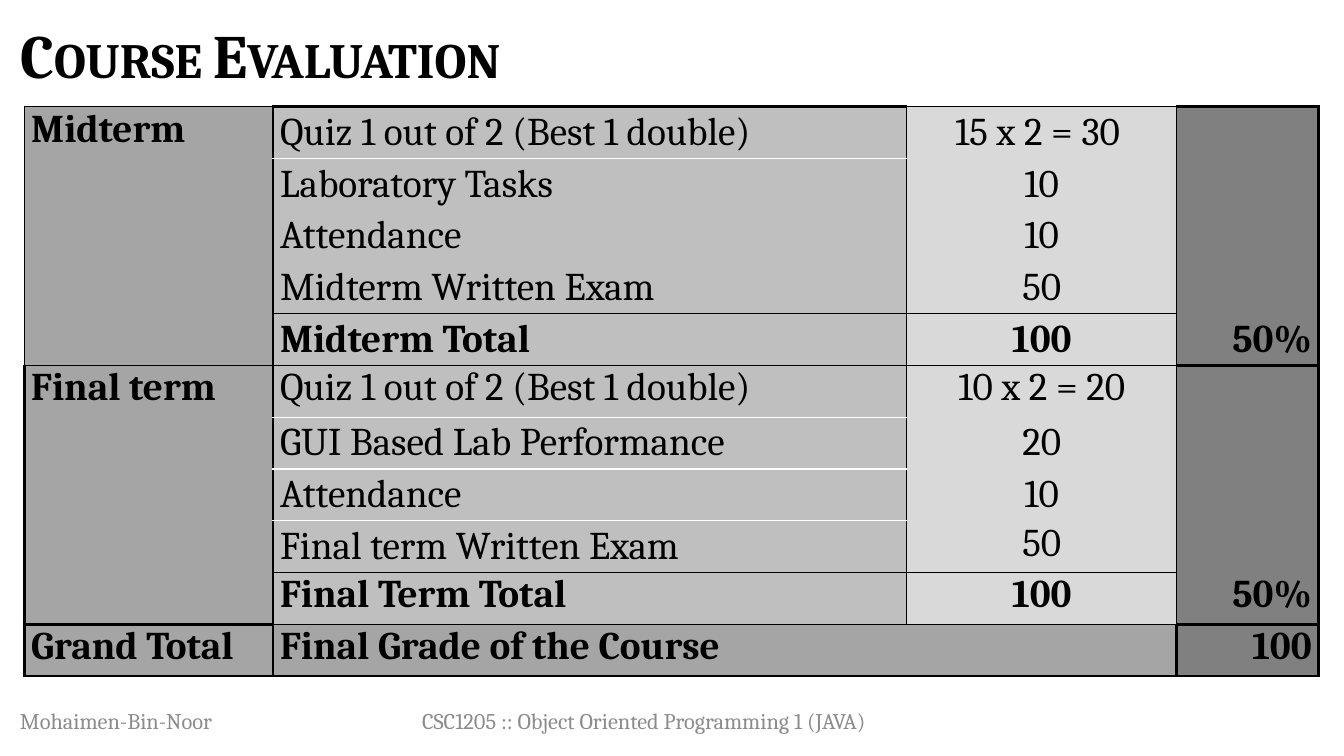
from dataclasses import dataclass
from lxml.etree import SubElement as Sub
from pptx import Presentation
from pptx.dml.color import RGBColor as Rgb
from pptx.enum.text import MSO_ANCHOR as Anchor, PP_ALIGN as Align
from pptx.oxml.ns import qn
from pptx.util import Inches, Pt


@dataclass(frozen=True)
class Theme:
    font: str = "Cambria"
    ink: str = "000000"
    pale: str = "FFFFFF"
    mute: str = "8C8C8C"
    term: str = "A5A5A5"
    task: str = "BFBFBF"
    mark: str = "D9D9D9"
    share: str = "808080"
    head: int = 44
    body: int = 28
    foot: int = 16


LOOK = Theme()
WIDE, HIGH = 13.33, 7.5
COLS = (2.47, 6.29, 2.68, 1.41)
FILLS = (LOOK.term, LOOK.task, LOOK.mark, LOOK.share)
ALIGNS = (Align.LEFT, Align.LEFT, Align.CENTER, Align.RIGHT)
ROWS = (
    ("Midterm", "Quiz 1 out of 2 (Best 1 double)", "15 x 2 = 30 ", ""),
    ("", "Laboratory Tasks", "10", ""),
    ("", "Attendance", "10", ""),
    ("", "Midterm Written Exam", "50", ""),
    ("", "Midterm Total", "100", "50%"),
    ("Final term", "Quiz 1 out of 2 (Best 1 double)", "10 x 2 = 20", ""),
    ("", "GUI Based Lab Performance", "20", ""),
    ("", "Attendance", "10", ""),
    ("", "Final term Written Exam", "50", ""),
    ("", "Final Term Total", "100", "50%"),
    ("Grand Total", "Final Grade of the Course", "", "100"),
)
LAST = len(ROWS) - 1
TOTALS = (4, 9, LAST)
HIGHS = {(5, 1), (5, 2), (8, 2)}
PENS = {"t": (1, LOOK.ink), "b": (2.25, LOOK.ink), "w": (1, LOOK.pale)}
ACROSS = ("t....t....bb", "bw..ttwwwttb", "t...tt...ttb", "b....b....bb")
DOWN = ("t" * 5 + "b" * 6, "t" * 11, "t" * 10 + "b", "t" * 10 + "b", "b" * 11)


def write(frame, text, size=LOOK.body, color=LOOK.ink, bold=False,
          align=Align.LEFT, small=False, lead=None):
    para = frame.paragraphs[0]
    para.alignment = align
    para.line_spacing = lead
    run = para.add_run()
    run.text = text
    font = run.font
    font.name, font.size, font.bold = LOOK.font, Pt(size), bold
    font.color.rgb = Rgb.from_string(color)
    if small:
        run._r.get_or_add_rPr().set("cap", "small")


def place(shape, box):
    shape.left, shape.top, shape.width, shape.height = map(Inches, box)


def rule(cell, side, pen):
    line = Sub(cell._tc.get_or_add_tcPr(), qn("a:ln" + side))
    if pen not in PENS:
        Sub(line, qn("a:noFill"))
        return
    width, color = PENS[pen]
    line.set("w", str(Pt(width)))
    Sub(Sub(line, qn("a:solidFill")), qn("a:srgbClr")).set("val", color)


def title(slide, box):
    shape = slide.shapes.title
    place(shape, box)
    shape.text_frame.vertical_anchor = Anchor.MIDDLE
    write(shape.text_frame, "Course Evaluation", size=LOOK.head, bold=True,
          small=True, lead=0.9)


def fill(cell, row, col, text):
    cell.margin_left = cell.margin_right = Inches(0.07)
    cell.margin_top = cell.margin_bottom = 0
    top = col == 0 or row >= 9 or (row, col) in HIGHS
    cell.vertical_anchor = Anchor.TOP if top else Anchor.MIDDLE
    rule(cell, "L", DOWN[col][row])
    rule(cell, "R", DOWN[col + 1][row])
    rule(cell, "T", ACROSS[col][row])
    rule(cell, "B", ACROSS[col][row + 1])
    cell.fill.solid()
    tone = LOOK.term if row == LAST and col < 3 else FILLS[col]
    cell.fill.fore_color.rgb = Rgb.from_string(tone)
    if text:
        write(cell.text_frame, text, align=ALIGNS[col],
              bold=col in (0, 3) or row in TOTALS)


def grades(slide, box):
    table = slide.shapes.add_table(len(ROWS), len(COLS),
                                   *map(Inches, box)).table
    table.first_row = table.horz_banding = False
    for col, share in zip(table.columns, COLS):
        col.width = Inches(box[2] * share / sum(COLS))
    for row, texts in enumerate(ROWS):
        table.rows[row].height = Inches(box[3] / len(ROWS))
        for col, text in enumerate(texts):
            fill(table.cell(row, col), row, col, text)
    table.cell(LAST, 1).merge(table.cell(LAST, 2))


def footer(slide, box):
    left, top, width, height = box
    parts = (
        ("Mohaimen-Bin-Noor", 0, 0.22, Align.LEFT),
        ("CSC1205 :: Object Oriented Programming 1 (JAVA)", 0.29, 0.38,
         Align.CENTER),
    )
    for text, start, share, align in parts:
        spot = left + width * start, top, width * share, height
        frame = slide.shapes.add_textbox(*map(Inches, spot)).text_frame
        frame.word_wrap = True
        frame.vertical_anchor = Anchor.MIDDLE
        write(frame, text, size=LOOK.foot, color=LOOK.mute, align=align)


def main():
    deck = Presentation()
    deck.slide_width, deck.slide_height = Inches(WIDE), Inches(HIGH)
    slide = deck.slides.add_slide(deck.slide_layouts[5])
    title(slide, (0.1, 0.11, 13.1, 0.95))
    grades(slide, (0.24, 1.06, 12.84, 5.65))
    footer(slide, (0.1, 6.95, 13.1, 0.4))
    deck.save("out.pptx")


if __name__ == "__main__":
    main()
